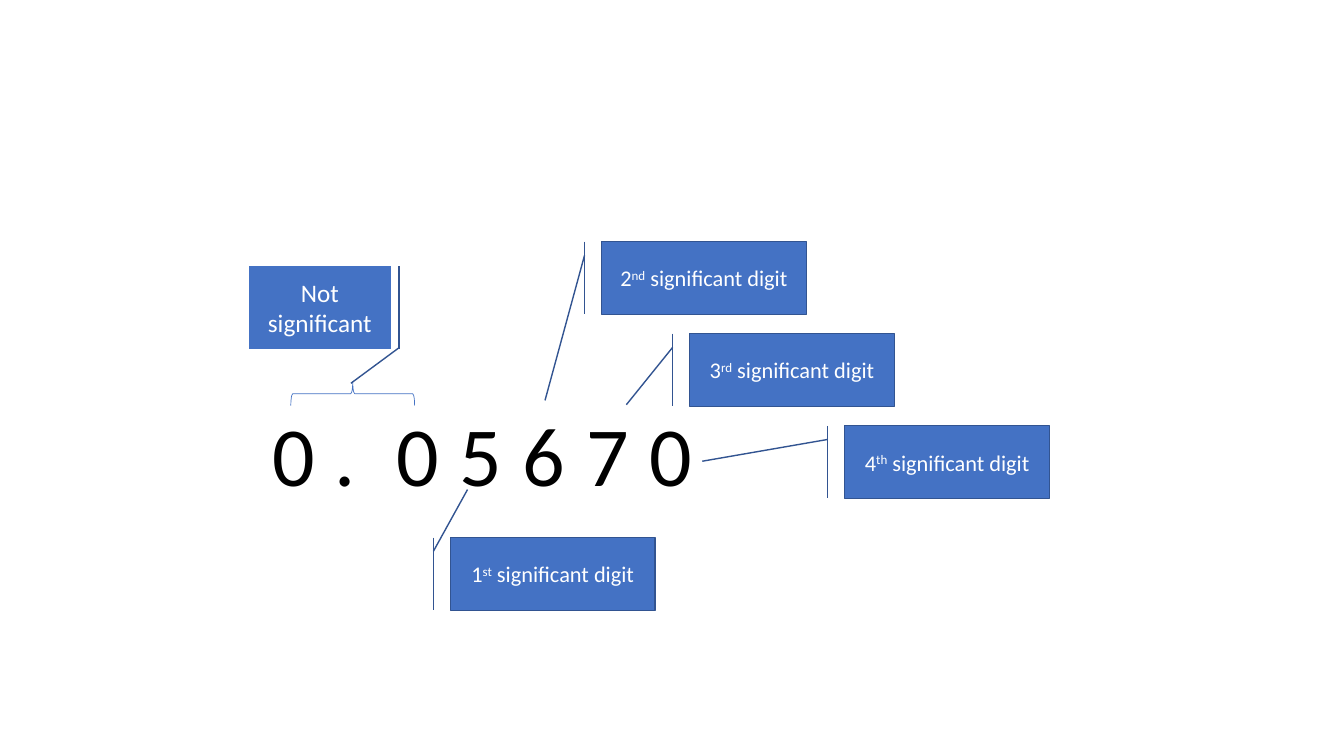
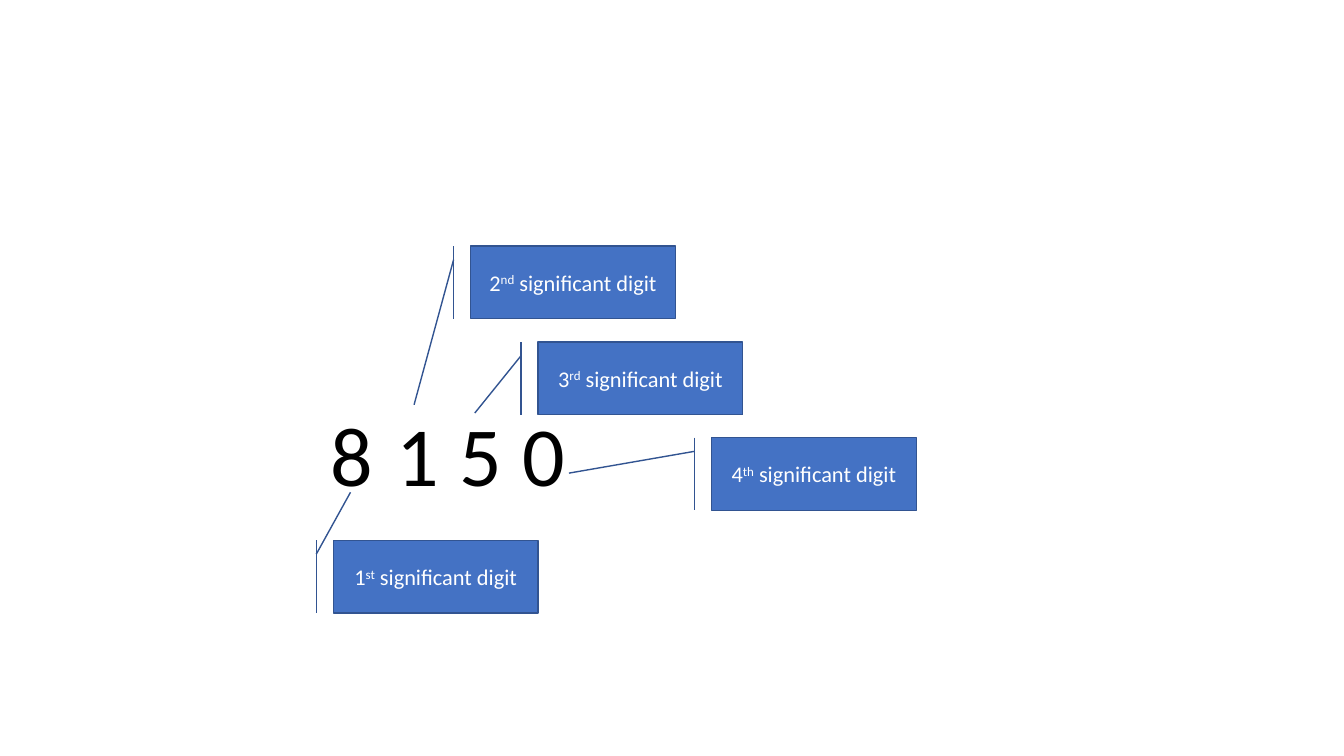
from dataclasses import dataclass

from pptx import Presentation
from pptx.dml.color import RGBColor
from pptx.enum.shapes import MSO_SHAPE
from pptx.enum.text import MSO_ANCHOR, MSO_AUTO_SIZE, PP_ALIGN
from pptx.util import Cm, Pt

# Shared style
FONT = "Calibri"
BLACK, WHITE, BLUE, DARK_BLUE = "000000", "FFFFFF", "4472C4", "325491"

# Digit row and label sizes, in centimetres
DIGIT_TOP, DIGIT_WIDTH, DIGIT_HEIGHT = 10.03, 1.6, 2.82
DIGIT_START, DIGIT_PITCH = 9.75, 1.59
LABEL_WIDTH, LABEL_HEIGHT = 5.16, 1.83


@dataclass(frozen=True)
class Ordinal:
    number: str
    suffix: str
    pointer: tuple[float, float, float, float]


@dataclass(frozen=True)
class Character:
    text: str
    left: float
    width: float = DIGIT_WIDTH


@dataclass(frozen=True)
class Example:
    leading: tuple[Character, ...]
    digits: str
    label_places: tuple[tuple[float, float], ...]
    has_zero_note: bool = False


ORDINALS = (
    Ordinal("1", "st", (0.188, -0.083, -0.663, 0.084)),
    Ordinal("2", "nd", (0.188, -0.083, 2.186, -0.276)),
    Ordinal("3", "rd", (0.188, -0.083, 0.978, -0.309)),
    Ordinal("4", "th", (0.188, -0.083, 0.488, -0.696)),
)

EXAMPLES = (
    Example(
        leading=(Character("0", 6.63), Character(".", 8.18, 1.04)),
        digits="05670",
        label_places=((11.35, 13.55), (15.16, 6.09), (17.38, 8.41), (21.29, 10.73)),
        has_zero_note=True,
    ),
    Example(
        leading=(Character("8", 8.08),),
        digits="150",
        label_places=((8.4, 13.62), (11.86, 6.2), (13.56, 8.62), (17.93, 11.03)),
    ),
)


def color(hex_code: str) -> RGBColor:
    return RGBColor.from_string(hex_code)


def add_run(paragraph, text: str, *, size: float, hex_code: str, superscript: bool = False) -> None:
    run = paragraph.add_run()
    run.text = text
    run.font.name = FONT
    run.font.size = Pt(size)
    run.font.color.rgb = color(hex_code)
    if superscript:
        run._r.get_or_add_rPr().set("baseline", "30000")


def add_character(shapes, character: Character) -> None:
    box = shapes.add_textbox(
        Cm(character.left), Cm(DIGIT_TOP), Cm(character.width), Cm(DIGIT_HEIGHT)
    )
    box.text_frame.word_wrap = False
    box.text_frame.auto_size = MSO_AUTO_SIZE.SHAPE_TO_FIT_TEXT
    add_run(box.text_frame.paragraphs[0], character.text, size=60, hex_code=BLACK)


def add_callout(shapes, kind, left: float, top: float, width: float, height: float,
                pointer: tuple[float, ...]):
    """Draw a filled callout and return its centred paragraph."""
    shape = shapes.add_shape(kind, Cm(left), Cm(top), Cm(width), Cm(height))
    for index, value in enumerate(pointer):
        shape.adjustments[index] = value
    shape.shadow.inherit = False
    shape.fill.solid()
    shape.fill.fore_color.rgb = color(BLUE)
    shape.line.color.rgb = color(DARK_BLUE)
    shape.line.width = Pt(1)
    shape.text_frame.word_wrap = True
    shape.text_frame.vertical_anchor = MSO_ANCHOR.MIDDLE
    paragraph = shape.text_frame.paragraphs[0]
    paragraph.alignment = PP_ALIGN.CENTER
    return paragraph


def add_ordinal_label(shapes, ordinal: Ordinal, left: float, top: float) -> None:
    paragraph = add_callout(
        shapes, MSO_SHAPE.LINE_CALLOUT_1_BORDER_AND_ACCENT_BAR,
        left, top, LABEL_WIDTH, LABEL_HEIGHT, ordinal.pointer,
    )
    add_run(paragraph, ordinal.number, size=16, hex_code=WHITE)
    add_run(paragraph, ordinal.suffix, size=16, hex_code=WHITE, superscript=True)
    add_run(paragraph, " significant digit", size=16, hex_code=WHITE)


def add_zero_note(shapes) -> None:
    # Brace over the leading zeros
    brace = shapes.add_shape(MSO_SHAPE.RIGHT_BRACE, Cm(8.59), Cm(8.36), Cm(0.6), Cm(3.12))
    brace.rotation = 270
    brace.shadow.inherit = False
    brace.fill.background()
    brace.line.color.rgb = color(BLUE)
    brace.line.width = Pt(0.5)
    # Note pointing at the brace
    paragraph = add_callout(
        shapes, MSO_SHAPE.LINE_CALLOUT_1_ACCENT_BAR,
        6.27, 6.71, 3.58, 2.08, (0.986, 1.059, 1.418, 0.719),
    )
    add_run(paragraph, "Not significant", size=18, hex_code=WHITE)


def add_example(presentation, example: Example) -> None:
    slide = presentation.slides.add_slide(presentation.slide_layouts[6])
    shapes = slide.shapes.add_group_shape().shapes
    # Number, one box per character
    for character in example.leading:
        add_character(shapes, character)
    for index, digit in enumerate(example.digits):
        add_character(shapes, Character(digit, DIGIT_START + index * DIGIT_PITCH))
    # Labels for the significant digits
    for ordinal, (left, top) in zip(ORDINALS, example.label_places):
        add_ordinal_label(shapes, ordinal, left, top)
    if example.has_zero_note:
        add_zero_note(shapes)


def main() -> None:
    presentation = Presentation()
    presentation.slide_width = Cm(33.87)
    presentation.slide_height = Cm(19.05)
    for example in EXAMPLES:
        add_example(presentation, example)
    presentation.save("out.pptx")


if __name__ == "__main__":
    main()
